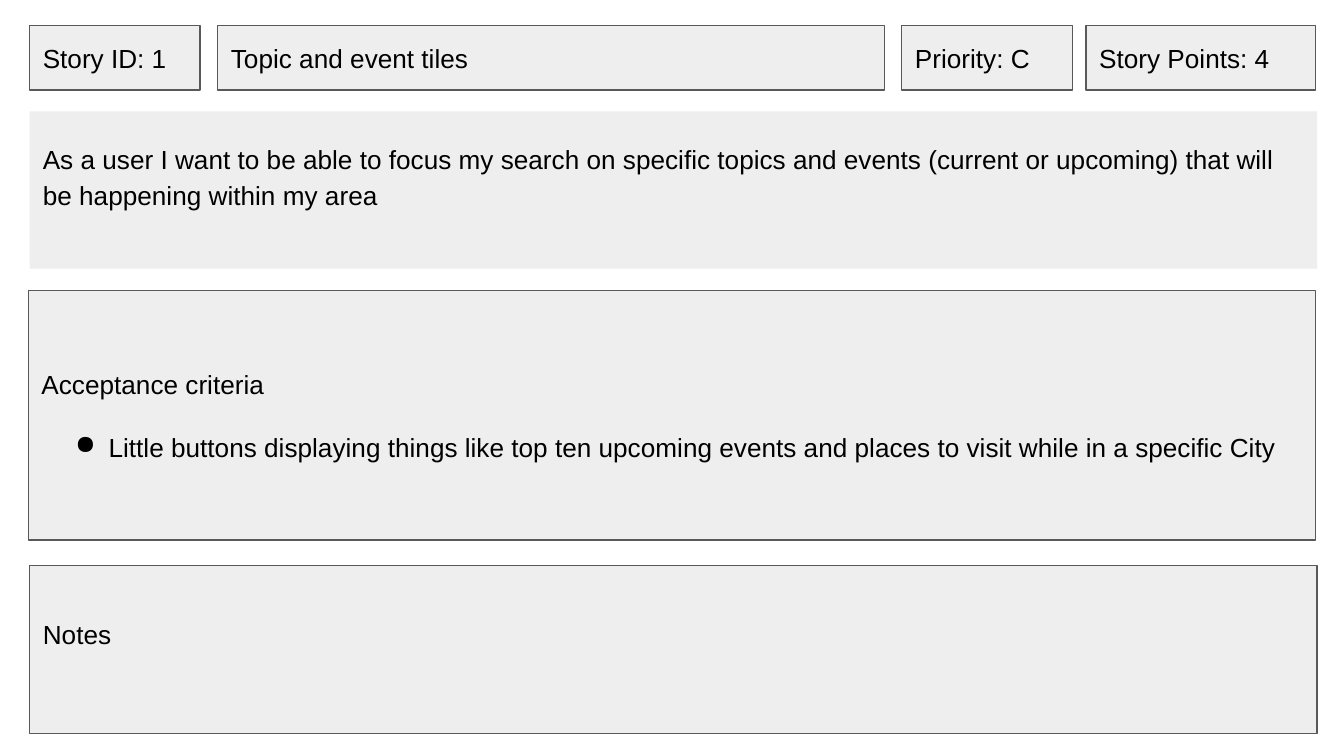
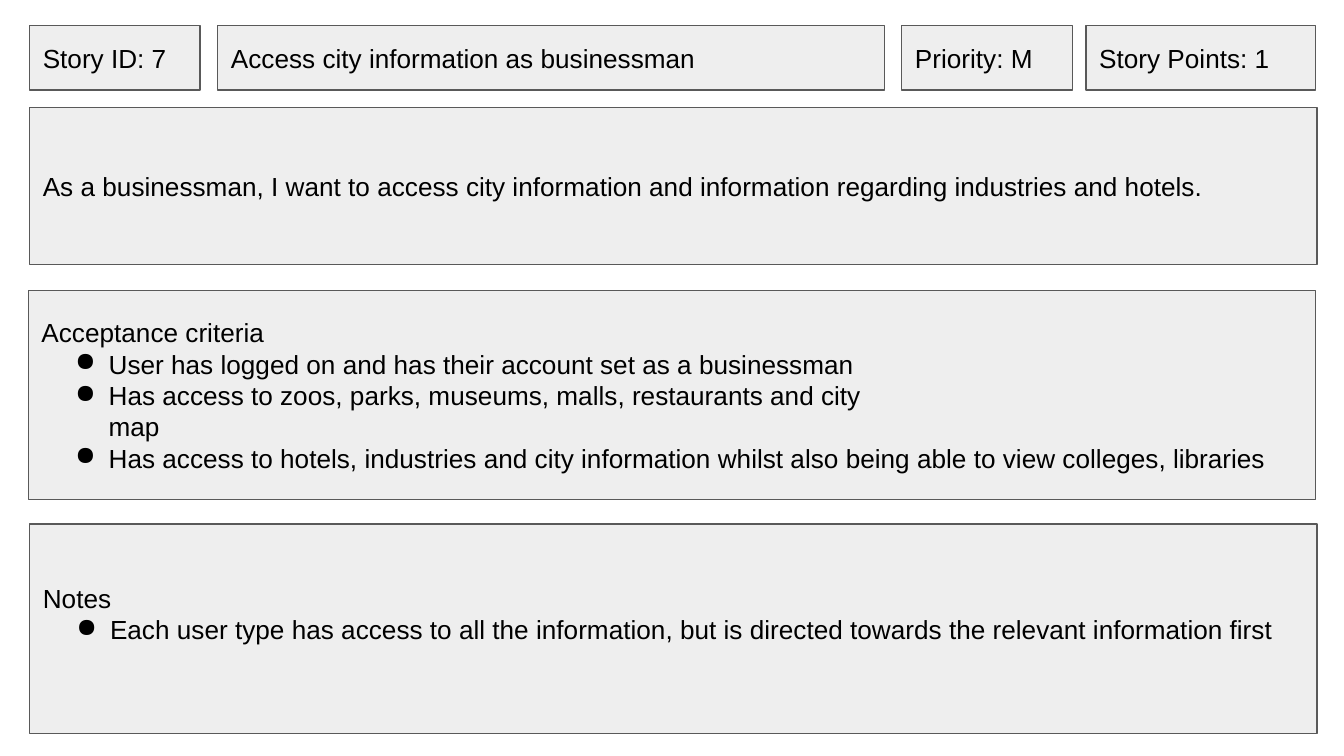
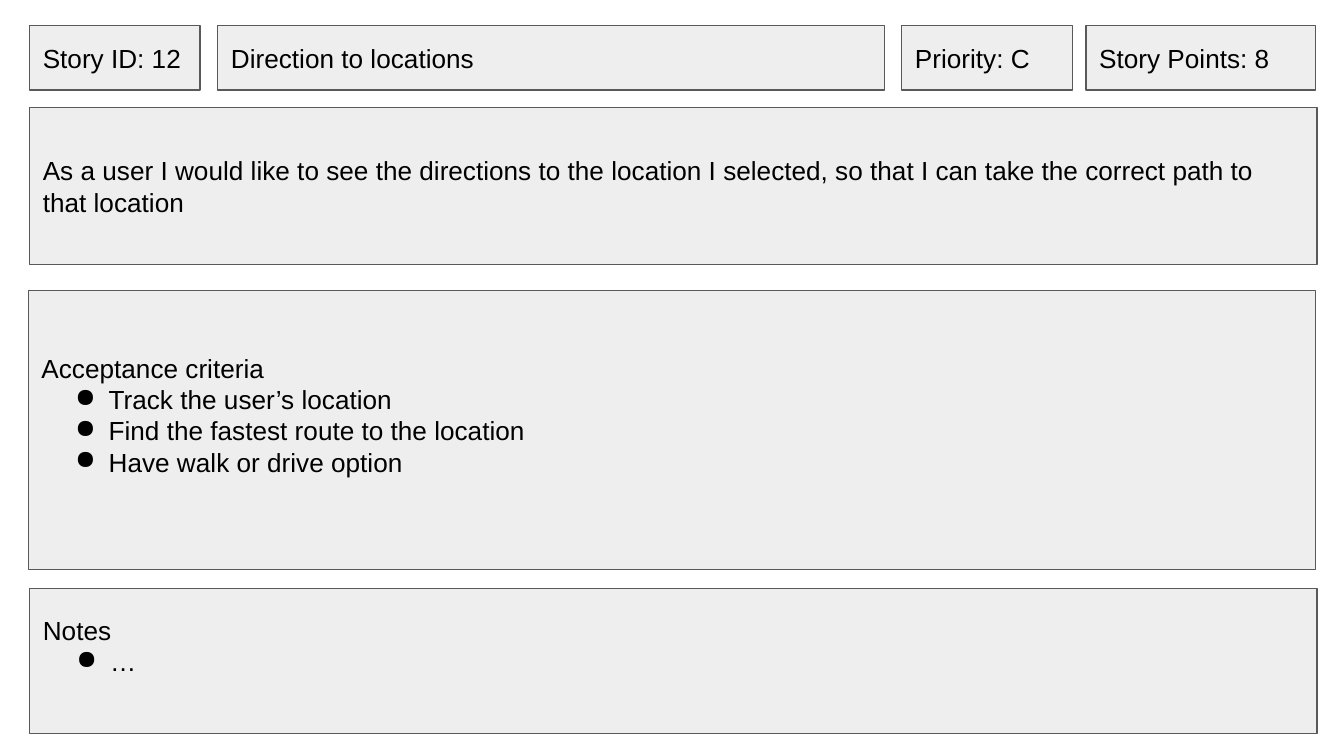
from lxml import etree
from pptx import Presentation
from pptx.dml.color import RGBColor
from pptx.enum.shapes import MSO_SHAPE
from pptx.enum.text import MSO_ANCHOR, PP_ALIGN
from pptx.oxml.ns import qn
from pptx.util import Emu, Pt

RECTANGLE = MSO_SHAPE.RECTANGLE
MIDDLE = MSO_ANCHOR.MIDDLE
LEFT = PP_ALIGN.LEFT

EMU_PER_PX = 4572
PAGE_WIDTH, PAGE_HEIGHT = 2000, 1125
CARD_LEFT, CARD_WIDTH = 44, 1916
CRITERIA_LEFT, CRITERIA_TOP = 42, 432
STATEMENT_HEIGHT = 234
NOTES_BOTTOM = 1092
HEADER_TOP, HEADER_HEIGHT = 38, 96
HEADER_COLUMNS = [(44, 254), (324, 992), (1342, 254), (1616, 342)]
INSET, LINE_HEIGHT = 20, 46

STORIES = [
    {
        "header": ["Story ID: 1", "Topic and event tiles", "Priority: C", "Story Points: 4"],
        "statement": "As a user I want to be able to focus my search on specific topics and events "
                     "(current or upcoming) that will be happening within my area",
        "statement_top": 166,
        "statement_style": {"outlined": False, "line_spacing": 1.15, "spare_lines": 1},
        "criteria": ["Little buttons displaying things like top ten upcoming events and places "
                     "to visit while in a specific City"],
        "criteria_height": 372,
        "criteria_style": {"bullet_gap": 17},
        "notes": [],
        "notes_height": 250,
        "notes_style": {"spare_lines": 1},
    },
    {
        "header": ["Story ID: 7", "Access city information as businessman", "Priority: M",
                   "Story Points: 1"],
        "statement": "As a businessman, I want to access city information and information "
                     "regarding industries and hotels.",
        "statement_top": 160,
        "statement_style": {},
        "criteria": [
            "User has logged on and has their account set as a businessman",
            "Has access to zoos, parks, museums, malls, restaurants and city\nmap",
            "Has access to hotels, industries and city information whilst also being able "
            "to view colleges, libraries",
        ],
        "criteria_height": 312,
        "criteria_style": {},
        "notes": ["Each user type has access to all the information, but is directed towards "
                  "the relevant information first"],
        "notes_height": 312,
        "notes_style": {"spare_lines": 1},
    },
    {
        "header": ["Story ID: 12", "Direction to locations", "Priority: C", "Story Points: 8"],
        "statement": "As a user I would like to see the directions to the location I selected, "
                     "so that I can take the correct path to that location",
        "statement_top": 160,
        "statement_style": {},
        "criteria": ["Track the user’s location", "Find the fastest route to the location",
                     "Have walk or drive option"],
        "criteria_height": 416,
        "criteria_style": {"spare_lines": 1},
        "notes": ["…"],
        "notes_height": 216,
        "notes_style": {"spare_lines": 1},
    },
]


def px(length):
    return Emu(length * EMU_PER_PX)


def color(value):
    return RGBColor.from_string(value)


class StoryDeck:
    font_name = "Arial"
    font_size = 14
    ink = "000000"
    fill = "EEEEEE"
    border = "595959"

    def __init__(self):
        self.deck = Presentation()
        self.deck.slide_width = px(PAGE_WIDTH)
        self.deck.slide_height = px(PAGE_HEIGHT)
        self.page = None

    def add_page(self):
        self.page = self.deck.slides.add_slide(self.deck.slide_layouts[6])

    def add_box(self, left, top, width, height, text, bullets=(), outlined=True,
                line_spacing=None, bullet_gap=0, spare_lines=0):
        box = self.page.shapes.add_shape(RECTANGLE, px(left), px(top), px(width), px(height))
        box.shadow.inherit = False
        box.fill.solid()
        box.fill.fore_color.rgb = color(self.fill)
        if outlined:
            box.line.color.rgb = color(self.border)
            box.line.width = Pt(0.75)
        else:
            box.line.fill.background()
        frame = box.text_frame
        frame.word_wrap = True
        frame.vertical_anchor = MIDDLE
        frame.margin_left = frame.margin_right = frame.margin_top = px(INSET)
        frame.margin_bottom = px(INSET + spare_lines * LINE_HEIGHT)
        heading = frame.paragraphs[0]
        self.add_text(heading, text)
        if line_spacing:
            heading.line_spacing = line_spacing
        for index, bullet in enumerate(bullets):
            para = frame.add_paragraph()
            self.add_bullet(para)
            self.add_text(para, bullet)
            if bullet_gap and index == 0:
                para.space_before = Pt(bullet_gap)

    def add_bullet(self, para):
        properties = para._p.get_or_add_pPr()
        properties.set("marL", str(px(100)))
        properties.set("indent", str(px(-50)))
        etree.SubElement(properties, qn("a:buChar"), char="●")

    def add_text(self, para, text):
        para.alignment = LEFT
        for index, line in enumerate(text.split("\n")):
            if index:
                para.add_line_break()
                line_break = para._p.findall(qn("a:br"))[-1]
                etree.SubElement(line_break, qn("a:rPr"), sz=str(self.font_size * 100))
            span = para.add_run()
            span.text = line
            span.font.name = self.font_name
            span.font.size = Pt(self.font_size)
            span.font.color.rgb = color(self.ink)

    def add_story(self, story):
        self.add_page()
        for (left, width), label in zip(HEADER_COLUMNS, story["header"]):
            self.add_box(left, HEADER_TOP, width, HEADER_HEIGHT, label)
        self.add_box(CARD_LEFT, story["statement_top"], CARD_WIDTH, STATEMENT_HEIGHT,
                     story["statement"], **story["statement_style"])
        self.add_box(CRITERIA_LEFT, CRITERIA_TOP, CARD_WIDTH, story["criteria_height"],
                     "Acceptance criteria", story["criteria"], **story["criteria_style"])
        notes_height = story["notes_height"]
        self.add_box(CARD_LEFT, NOTES_BOTTOM - notes_height, CARD_WIDTH, notes_height,
                     "Notes", story["notes"], **story["notes_style"])


def main():
    stories = StoryDeck()
    for story in STORIES:
        stories.add_story(story)
    stories.deck.save("out.pptx")


if __name__ == "__main__":
    main()
